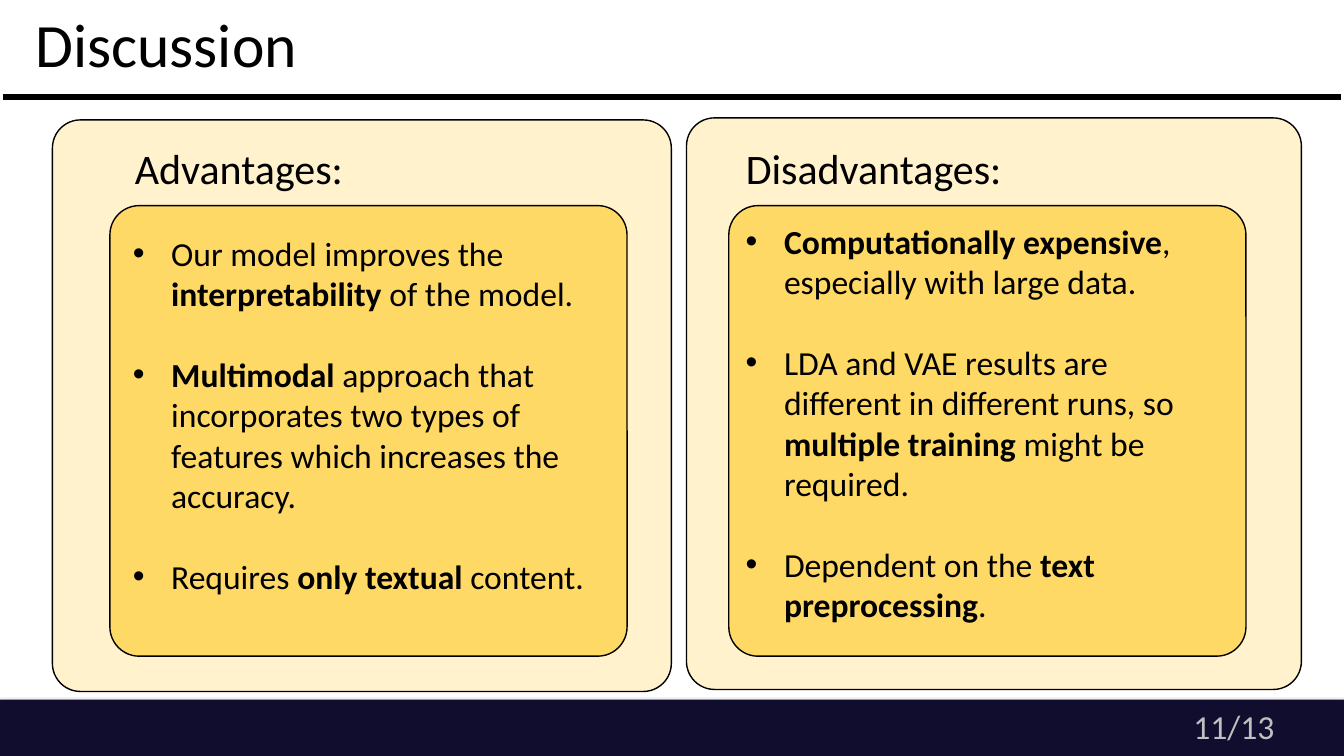
from lxml.etree import SubElement
from pptx import Presentation
from pptx.dml.color import RGBColor
from pptx.enum.shapes import MSO_CONNECTOR as Connector, MSO_SHAPE as Shape
from pptx.enum.text import MSO_ANCHOR as Anchor, MSO_AUTO_SIZE as AutoSize
from pptx.oxml.ns import qn
from pptx.util import Inches, Pt

WIDTH, HEIGHT = Inches(13.333), Inches(7.5)
FONT = "Calibri"
BLACK, CREAM, GOLD, NAVY, GREY = "000000", "FFF2CC", "FFD966", "100D2F", "BFBFBF"

ADVANTAGES = [
    "Our model improves the **interpretability** of the model.",
    "**Multimodal** approach that incorporates two types of features which increases the accuracy.",
    "Requires **only textual **content.",
]
DISADVANTAGES = [
    "**Computationally expensive**, especially with large data.",
    "LDA and VAE results are different in different runs, so **multiple training **might be required.",
    "Dependent on the **text preprocessing**.",
]


def across(percent):
    """Turn a share of the slide's width into a length."""
    return round(WIDTH * percent / 100)


def down(percent):
    """Turn a share of the slide's height into a length."""
    return round(HEIGHT * percent / 100)


def place(left, top, width, height):
    """Turn a box given in percent of the slide into lengths."""
    return across(left), down(top), across(width), down(height)


def paint(color_format, color):
    """Set a colour from a hex string."""
    color_format.rgb = RGBColor.from_string(color)


def write(frame, lines, size, color=BLACK, anchor=Anchor.TOP, bulleted=False, gap=0, spacing=None):
    """Write lines into a text frame, with **bold** parts."""
    frame.word_wrap = True
    frame.auto_size = AutoSize.NONE
    frame.vertical_anchor = anchor
    for index, line in enumerate(lines):
        paragraph = frame.add_paragraph() if index else frame.paragraphs[0]
        if bulleted:
            add_bullet(paragraph)
        if index:
            paragraph.space_before = Pt(gap)
        if spacing:
            paragraph.line_spacing = spacing
        for part, words in enumerate(line.split("**")):
            if words:
                run = paragraph.add_run()
                run.text = words
                run.font.name = FONT
                run.font.size = Pt(size)
                run.font.bold = part % 2 == 1
                paint(run.font.color, color)


def add_bullet(paragraph):
    """Give a paragraph a hanging round bullet."""
    properties = paragraph._p.get_or_add_pPr()
    properties.set("marL", str(Inches(0.38)))
    properties.set("indent", str(-Inches(0.38)))
    SubElement(properties, qn("a:buFont"), typeface="Arial")
    SubElement(properties, qn("a:buChar"), char="•")


def add_text(slide, box, lines, size, **style):
    """Add a text box and return its frame."""
    frame = slide.shapes.add_textbox(*place(*box)).text_frame
    write(frame, lines, size, **style)
    return frame


def add_block(slide, kind, box, fill, rounding=None):
    """Add a filled block, outlined when it has rounded corners."""
    block = slide.shapes.add_shape(kind, *place(*box))
    block.shadow.inherit = False
    block.fill.solid()
    paint(block.fill.fore_color, fill)
    if rounding is None:
        block.line.fill.background()
    else:
        block.adjustments[0] = rounding
        paint(block.line.color, BLACK)
        block.line.width = Pt(1)
    return block


def add_title(slide, words):
    """Fill the title and draw the rule beneath it."""
    title = slide.shapes.title
    title.left, title.top, title.width, title.height = place(1.88, -3.33, 70.8, 19.33)
    write(title.text_frame, [words], 44, anchor=Anchor.MIDDLE, spacing=0.9)
    title.text_frame.paragraphs[0].alignment = 1
    rule = slide.shapes.add_connector(
        Connector.STRAIGHT, across(0.23), down(12.8), across(99.75), down(12.8))
    paint(rule.line.color, BLACK)
    rule.line.width = Pt(4.5)
    SubElement(rule._element.spPr, qn("a:effectLst"))


def add_footer(slide, page):
    """Draw the shadowed footer band with the page count."""
    band = add_block(slide, Shape.RECTANGLE, (0, 92.53, 100, 7.47), NAVY)
    effects = band._element.spPr.find(qn("a:effectLst"))
    shadow = SubElement(effects, qn("a:outerShdw"), blurRad=str(Pt(3.1)),
                        dist=str(Pt(1.8)), dir="5400000", rotWithShape="0")
    tint = SubElement(shadow, qn("a:srgbClr"), val=BLACK)
    SubElement(tint, qn("a:alpha"), val="35000")
    frame = add_text(slide, (87.83, 92.27, 10.5, 7.47), [page], 24,
                     color=GREY, anchor=Anchor.MIDDLE)
    frame.margin_left = frame.margin_right = Inches(0.13)
    frame.margin_top = frame.margin_bottom = Inches(0.07)


def add_card(slide, heading, points, card, panel_left, heading_left, body):
    """Draw a card with its heading and a panel of bullet points."""
    add_block(slide, Shape.ROUNDED_RECTANGLE, card, CREAM, 0.049)
    add_block(slide, Shape.ROUNDED_RECTANGLE, (panel_left, 27.2, 38.48, 59.6), GOLD, 0.065)
    add_text(slide, (heading_left, 18.13, 21.38, 8.13), [heading], 30)
    add_text(slide, body, points, 24, bulleted=True, gap=29)


def main():
    """Build and save the discussion slide."""
    deck = Presentation()
    deck.slide_width, deck.slide_height = WIDTH, HEIGHT
    slide = deck.slides.add_slide(deck.slide_layouts.get_by_name("Title Only"))
    add_title(slide, "Discussion")
    add_card(slide, "Advantages:", ADVANTAGES, card=(3.9, 15.87, 46.05, 75.6),
             panel_left=8.18, heading_left=9.3, body=(9.15, 30.13, 35.48, 49.87))
    add_card(slide, "Disadvantages:", DISADVANTAGES, card=(51.08, 15.6, 45.75, 75.6),
             panel_left=54.23, heading_left=54.75, body=(54.75, 28.53, 35.48, 55.2))
    add_footer(slide, "11/13")
    deck.save("out.pptx")


if __name__ == "__main__":
    main()
